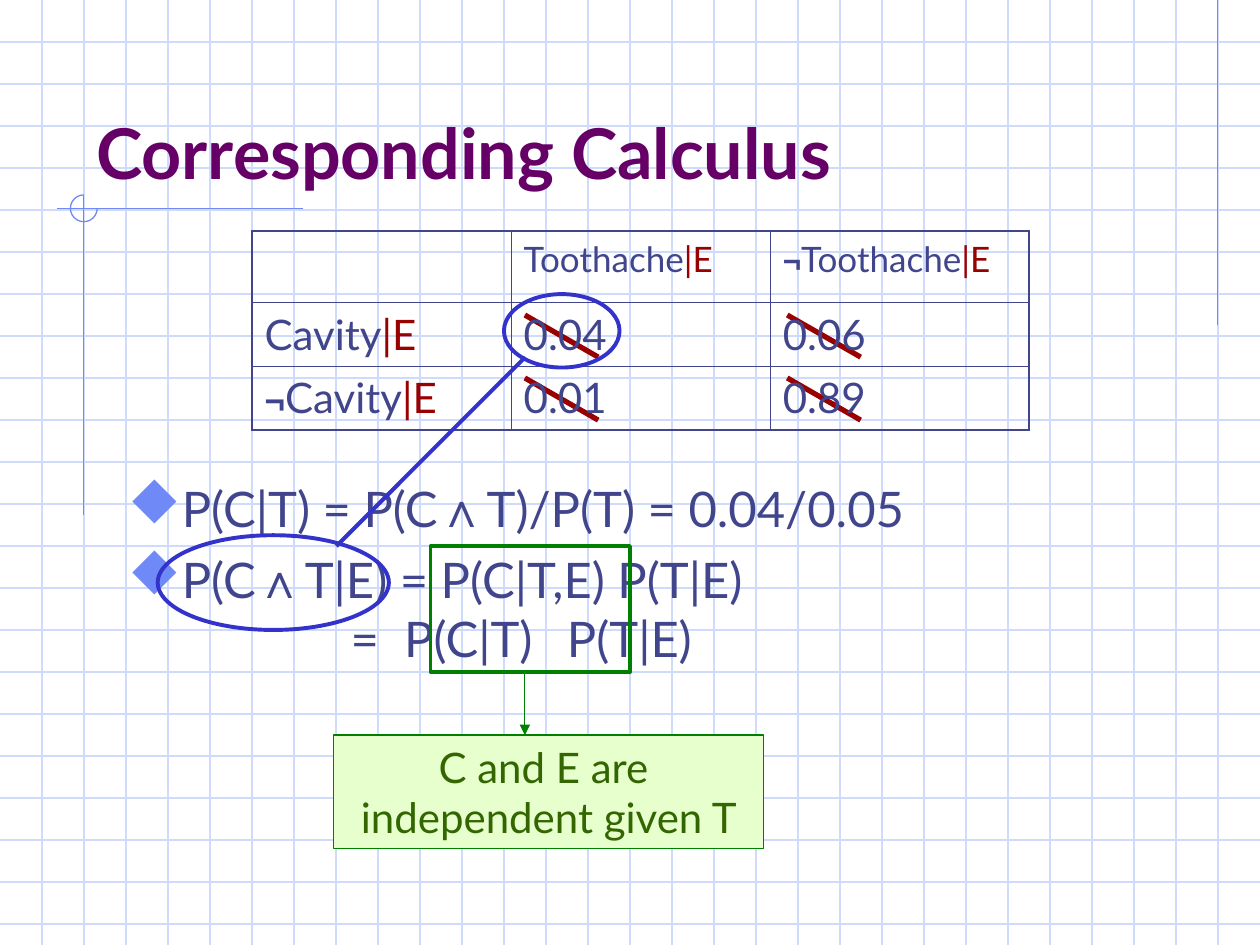
from lxml.etree import SubElement as Sub
from pptx import Presentation
from pptx.dml.color import RGBColor as Rgb
from pptx.enum.shapes import MSO_CONNECTOR as Link, MSO_SHAPE as Kind
from pptx.enum.text import MSO_ANCHOR as Anchor, PP_ALIGN as Align
from pptx.oxml.ns import qn
from pptx.util import Cm, Pt

HUES = {
    "grid": "CFDBFD", "mark": "6F89F7", "title": "660066", "text": "40458C",
    "red": "990000", "green": "008000", "pale": "E6FFCD", "moss": "336600",
    "blue": "3333CC",
}
STEP = 2.54 / 3


def hue(name):
    return Rgb.from_string(HUES[name])


def add_line(slide, x1, y1, x2, y2, name, width=0.75):
    line = slide.shapes.add_connector(Link.STRAIGHT, Cm(x1), Cm(y1), Cm(x2), Cm(y2))
    line.line.color.rgb = hue(name)
    line.line.width = Pt(width)
    Sub(line._element.spPr, qn("a:effectLst"))
    return line


def add_form(slide, kind, box, name, width=0.75, fill=None):
    form = slide.shapes.add_shape(kind, *map(Cm, box))
    form.shadow.inherit = False
    if fill:
        form.fill.solid()
        form.fill.fore_color.rgb = hue(fill)
    else:
        form.fill.background()
    form.line.color.rgb = hue(name)
    form.line.width = Pt(width)
    return form


def add_run(para, text, size, name, font="Lato", bold=False):
    run = para.add_run()
    run.text = text
    run.font.size = Pt(size)
    run.font.name = font
    run.font.bold = bold
    run.font.color.rgb = hue(name)


def add_frame(slide, box):
    frame = slide.shapes.add_textbox(*map(Cm, box)).text_frame
    frame.word_wrap = True
    return frame


def draw_grid(slide, box):
    x, y, w, h = box
    for n in range(1, 23):
        add_line(slide, x, y + n * STEP, x + w, y + n * STEP, "grid")
    for n in range(1, 30):
        add_line(slide, x + n * STEP, y, x + n * STEP, y + h, "grid")


def draw_marks(slide, box):
    x, y, w, h = box
    add_line(slide, x + 24.55, y, x + 24.55, y + 6.56, "mark")
    add_line(slide, x + 6.1, y + 4.21, x + 1.14, y + 4.21, "mark")
    add_line(slide, x + 1.69, y + 3.93, x + 1.69, y + 10.39, "mark")
    arc = add_form(slide, Kind.ARC, (x + 1.42, y + 3.93, 0.54, 0.54), "mark")
    arc.adjustments[0] = 0
    arc.adjustments[1] = 162


def draw_title(slide, box):
    frame = add_frame(slide, box)
    frame.vertical_anchor = Anchor.BOTTOM
    add_run(frame.paragraphs[0], "Corresponding Calculus", 40, "title", bold=True)


def add_bullet(para):
    props = para._p.get_or_add_pPr()
    props.set("marL", str(Cm(0.95)))
    props.set("indent", str(-Cm(0.95)))
    Sub(Sub(props, qn("a:buClr")), qn("a:srgbClr"), val=HUES["mark"])
    Sub(props, qn("a:buSzPct"), val="110000")
    Sub(props, qn("a:buFont"), typeface="Wingdings", charset="2")
    Sub(props, qn("a:buChar"), char="u")


def add_tabs(para, stops):
    tabs = Sub(para._p.get_or_add_pPr(), qn("a:tabLst"))
    for stop in stops:
        Sub(tabs, qn("a:tab"), pos=str(Cm(stop)), algn="l")


def draw_body(slide, box):
    frame = add_frame(slide, box)
    para = frame.paragraphs[0]
    rules = (
        ("P(C|T) = P(C", "T)/P(T) = 0.04/0.05"),
        ("P(C", "T|E) = P(C|T,E) P(T|E)"),
    )
    for head, tail in rules:
        para.space_before = Pt(7)
        add_bullet(para)
        add_run(para, head, 28, "text")
        add_run(para, "∧", 28, "text", "Arial", True)
        add_run(para, tail, 28, "text")
        para = frame.add_paragraph()
    para.space_before = Pt(0)
    add_tabs(para, (4.49, 5.57, 8.85))
    add_run(para, "\t=\tP(C|T)\tP(T|E)", 28, "text")


def draw_strikes(slide, box):
    x, y, w, h = box
    for col in range(2):
        for row in range(2):
            left, top = x + 5.29 * col, y + 1.27 * row
            add_line(slide, left, top, left + w, top + h, "red", 3)


def add_edges(cell, row, col):
    props = cell._tc.get_or_add_tcPr()
    outer = {"lnL": col == 0, "lnR": col == 2, "lnT": row == 0, "lnB": row == 2}
    for tag, thick in outer.items():
        edge = Sub(props, qn("a:" + tag), w=str(Pt(1.08 if thick else 0.45)))
        Sub(Sub(edge, qn("a:solidFill")), qn("a:srgbClr"), val=HUES["text"])


def draw_table(slide, box):
    rows = (
        ("", "Toothache|E", "¬Toothache|E"),
        ("Cavity|E", "0.04", "0.06"),
        ("¬Cavity|E", "0.01", "0.89"),
    )
    table = slide.shapes.add_table(3, 3, *map(Cm, box)).table
    table.first_row = table.horz_banding = False
    for row, (texts, high) in enumerate(zip(rows, (1.44, 1.28, 1.29))):
        table.rows[row].height = Cm(high)
        size, small, gap = (24, 20, 6) if row else (20, 18, 5)
        for col, text in enumerate(texts):
            cell = table.cell(row, col)
            add_edges(cell, row, col)
            cell.fill.background()
            para = cell.text_frame.paragraphs[0]
            para.space_before = Pt(gap)
            if text.startswith("¬"):
                add_run(para, "¬", small, "text", "Arial", True)
            word, bar, given = text.lstrip("¬").partition("|")
            if word:
                add_run(para, word, size, "text")
            if bar:
                add_run(para, bar + given, size, "red")


def draw_note(slide, box):
    x, y, w, h = box
    add_form(slide, Kind.RECTANGLE, (x + 1.95, y, 4.02, 2.54), "green", 2.25)
    note = add_form(slide, Kind.RECTANGLE, (x, y + 3.81, w, h - 3.81), "green", fill="pale")
    note.text_frame.word_wrap = False
    para = note.text_frame.paragraphs[0]
    para.alignment = Align.CENTER
    add_run(para, "C and E are ", 24, "moss")
    para.add_line_break()
    add_run(para, "independent given T", 24, "moss")
    arrow = add_line(slide, x + 3.85, y + 2.54, x + 3.85, y + 3.81, "green")
    Sub(arrow.line._get_or_add_ln(), qn("a:tailEnd"), type="triangle")


def draw_rings(slide, box):
    x, y, w, h = box
    add_form(slide, Kind.OVAL, (x + w - 2.33, y, 2.33, 1.48), "blue", 2.25)
    add_form(slide, Kind.OVAL, (x, y + h - 1.91, 4.66, 1.91), "blue", 2.25)
    add_line(slide, x + 3.6, y + 5.08, x + 7.41, y + 1.27, "blue", 2.25)


def main():
    deck = Presentation()
    deck.slide_width, deck.slide_height = Cm(25.4), Cm(19.05)
    slide = deck.slides.add_slide(deck.slide_layouts[6])
    page = (0, 0, 25.4, 19.05)
    draw_grid(slide, page)
    draw_marks(slide, page)
    draw_title(slide, (1.69, 0.85, 21.59, 3.18))
    draw_body(slide, (2.33, 9.53, 21.59, 7.62))
    draw_strikes(slide, (10.58, 6.35, 1.48, 0.85))
    draw_table(slide, (5.08, 4.66, 15.67, 4.01))
    draw_note(slide, (6.73, 11.01, 8.67, 6.09))
    draw_rings(slide, (3.18, 5.93, 9.31, 6.77))
    deck.save("out.pptx")


if __name__ == "__main__":
    main()
